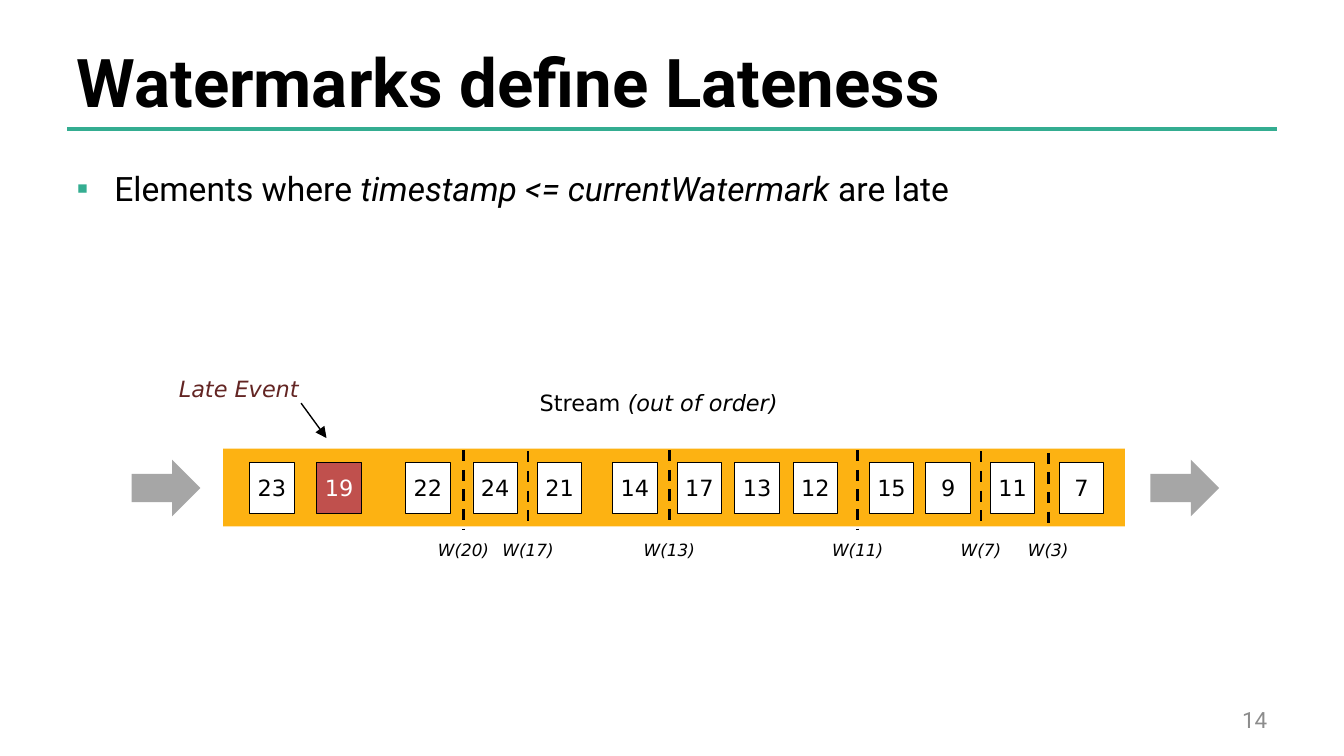
"""Build the slide on how watermarks define lateness in a stream."""
from lxml import etree
from pptx import Presentation, util as u
from pptx.dml.color import RGBColor
from pptx.enum import dml, shapes, text
from pptx.oxml.ns import qn

TITLE = "Watermarks define Lateness"
BODY = [("Elements where ", False), ("timestamp <= currentWatermark", True),
        (" are late", False)]
STREAM = [("Stream ", False), ("(out of order)", True)]
LATE = "19"
EVENTS = [("23", 4.72), (LATE, 5.99), ("22", 7.67), ("24", 8.94), ("21", 10.16),
          ("14", 11.58), ("17", 12.8), ("13", 13.89), ("12", 14.99),
          ("15", 16.43), ("9", 17.5), ("11", 18.72), ("7", 20.02)]
MARKS = [("W(20)", 8.76, 8.51, 10.01), ("W(17)", 9.98, 8.53, 10.01),
         ("W(13)", 12.65, 8.51, 9.96), ("W(11)", 16.21, 8.51, 10.01),
         ("W(7)", 18.54, 8.53, 9.96), ("W(3)", 19.81, 8.56, 10.03)]
ARROWS = [2.49, 21.74]

THEME = {
    "head": "Roboto", "draw": "DejaVu Sans",
    "ink": "000000", "white": "FFFFFF", "green": "34AD91", "band": "FDB212",
    "gray": "A6A6A6", "page": "8C8C8C", "red": "C0504D", "wine": "632523",
    "title": 36, "body": 18, "note": 12, "mark": 9,
}
FRAME = {"margin_left": u.Cm(0.18), "margin_right": u.Cm(0.18),
         "margin_top": u.Cm(0.1), "margin_bottom": u.Cm(0.1),
         "word_wrap": True, "auto_size": text.MSO_AUTO_SIZE.NONE}
LABEL = {"word_wrap": False, "auto_size": text.MSO_AUTO_SIZE.SHAPE_TO_FIT_TEXT}
MID = {"vertical_anchor": text.MSO_ANCHOR.MIDDLE}
TOP = {"vertical_anchor": text.MSO_ANCHOR.TOP}
LEFT, MIDDLE, RIGHT = (text.PP_ALIGN.LEFT, text.PP_ALIGN.CENTER,
                       text.PP_ALIGN.RIGHT)


def paint(name):
    return RGBColor.from_string(THEME[name])


def apply(obj, form):
    for key, val in form.items():
        setattr(obj, key, val)


def place(shape, x, y, w, h):
    apply(shape, {"left": u.Cm(x), "top": u.Cm(y),
                  "width": u.Cm(w), "height": u.Cm(h)})


def write(shape, runs, size, frame, face="draw", color="ink",
          align=MIDDLE, bold=False):
    apply(shape.text_frame, frame)
    para = shape.text_frame.paragraphs[0]
    para.alignment = align
    for words, slant in runs:
        run = para.add_run()
        run.text = words
        apply(run.font, {"name": THEME[face], "size": u.Pt(THEME[size]),
                         "bold": bold, "italic": slant})
        run.font.color.rgb = paint(color)
    return para


def label(slide, box, *args, **form):
    shape = slide.shapes.add_textbox(*map(u.Cm, box))
    write(shape, *args, **form)


def block(slide, kind, box, fill, edge=None):
    shape = slide.shapes.add_shape(kind, *map(u.Cm, box))
    shape.shadow.inherit = False
    shape.fill.solid()
    shape.fill.fore_color.rgb = paint(fill)
    if edge:
        shape.line.color.rgb = paint("ink")
        shape.line.width = u.Pt(edge)
    else:
        shape.line.fill.background()
    return shape


def rule(slide, ends, color, width):
    line = slide.shapes.add_connector(shapes.MSO_CONNECTOR.STRAIGHT,
                                      *map(u.Cm, ends))
    line.line.color.rgb = paint(color)
    line.line.width = u.Pt(width)
    etree.SubElement(line._element.spPr, qn("a:effectLst"))
    return line


def bullet(para):
    apply(para, {"space_before": u.Pt(0), "space_after": u.Pt(4.5)})
    props = para._p.get_or_add_pPr()
    props.set("marL", str(u.Cm(0.71)))
    props.set("indent", str(u.Cm(-0.71)))
    tint = etree.SubElement(props, qn("a:buClr"))
    etree.SubElement(tint, qn("a:srgbClr"), val=THEME["green"])
    etree.SubElement(props, qn("a:buChar"), char="▪")


def heads(slide):
    rule(slide, (1.27, 2.44, 24.13, 2.44), "green", 2)
    title, body = slide.placeholders
    place(title, 1.27, 0.58, 20.75, 1.88)
    write(title, [(TITLE, False)], "title", FRAME | MID, "head",
          align=LEFT, bold=True)
    place(body, 1.27, 3.07, 22.86, 2.44)
    bullet(write(body, BODY, "body", FRAME | TOP, "head", align=LEFT))
    label(slide, (21.16, 13.23, 2.97, 0.76), [("14", False)], "note",
          FRAME | MID, face="head", color="page", align=RIGHT)


def stream(slide):
    kind = shapes.MSO_SHAPE
    label(slide, (9.86, 7.24, 5.18, 0.76), STREAM, "note", LABEL)
    label(slide, (3.12, 6.96, 2.79, 0.76), [("Late Event", True)], "note",
          LABEL, color="wine")
    line = rule(slide, (5.69, 7.62, 6.17, 8.28), "ink", 0.75)
    etree.SubElement(line.line._get_or_add_ln(), qn("a:tailEnd"),
                     type="triangle")
    block(slide, kind.RECTANGLE, (4.22, 8.48, 17.04, 1.47), "band")
    for x in ARROWS:
        block(slide, kind.RIGHT_ARROW, (x, 8.69, 1.3, 1.07), "gray")
    for time, x in EVENTS:
        fill, color = ("red", "white") if time == LATE else ("white", "ink")
        cell = block(slide, kind.RECTANGLE, (x, 8.74, 0.84, 0.97), fill, 0.5)
        write(cell, [(time, False)], "note", MID | {"word_wrap": False},
              color=color)
    for name, x, top, end in MARKS:
        line = rule(slide, (x, top, x, end), "ink", 1.5)
        line.line.dash_style = dml.MSO_LINE.DASH
        label(slide, (x - 0.76, 10.08, 1.52, 0.64), [(name, True)], "mark",
              LABEL)


def main():
    deck = Presentation()
    apply(deck, {"slide_width": u.Cm(25.4), "slide_height": u.Cm(14.29)})
    slide = deck.slides.add_slide(deck.slide_layouts[1])
    heads(slide)
    stream(slide)
    deck.save("out.pptx")


if __name__ == "__main__":
    main()
